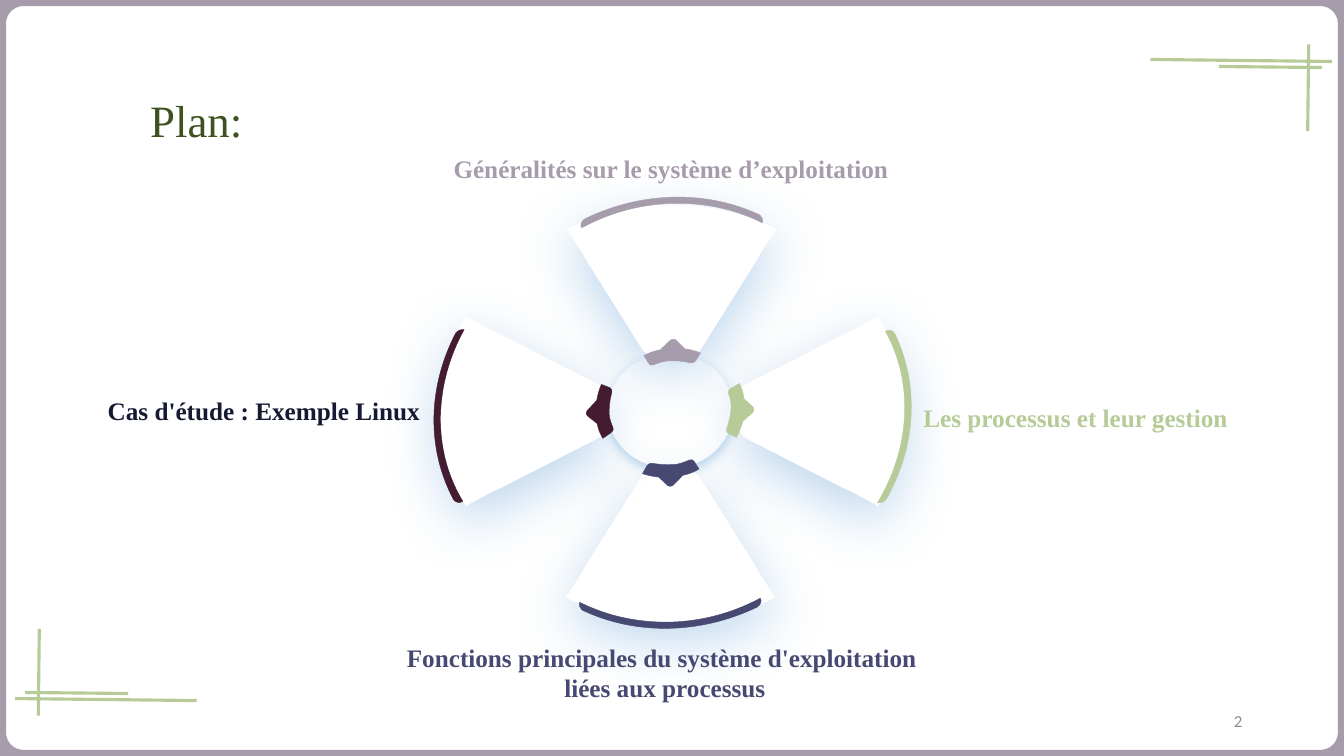
import pptx
import pptx.util
import pptx.dml.color
import pptx.enum.shapes
import pptx.enum.text
import pptx.oxml.ns
from lxml import etree

RGB = pptx.dml.color.RGBColor
SHAPE = pptx.enum.shapes.MSO_SHAPE
ALIGN = pptx.enum.text.PP_ALIGN
ANCHOR = pptx.enum.text.MSO_ANCHOR
qn = pptx.oxml.ns.qn

PX = 9144  # EMU per px, 100 px to the inch
SERIF = "Times New Roman"
WHITE = RGB(0xFF, 0xFF, 0xFF)
MAUVE = RGB(0xA7, 0x9C, 0xAC)
GREEN = RGB(0xB7, 0xCB, 0x98)
BLUE = RGB(0x47, 0x49, 0x72)
PLUM = RGB(0x43, 0x1C, 0x31)
NAVY = RGB(0x15, 0x19, 0x32)
OLIVE = RGB(0x3E, 0x52, 0x20)
GREY = RGB(0x8C, 0x8C, 0x8C)
GLOW = RGB(0x5B, 0x9B, 0xD5)

# Outlines: width, height, start, then segments.
# A segment of two numbers is a straight line, one of six is a curve.
HUB = (126, 113, (126, 56), [
    (126, 66, 123, 75, 118, 83), (118, 84, 117, 85, 116, 86),
    (106, 102, 87, 113, 65, 113), (64, 113, 64, 113, 63, 113),
    (62, 113, 62, 113, 61, 113), (39, 113, 20, 102, 10, 86),
    (9, 85, 8, 84, 8, 83), (3, 75, 0, 66, 0, 56),
    (0, 47, 3, 38, 8, 30), (8, 29, 9, 28, 10, 26),
    (20, 11, 39, 0, 61, 0), (62, 0, 62, 0, 63, 0),
    (64, 0, 64, 0, 65, 0), (87, 0, 106, 11, 116, 26),
    (117, 27, 118, 29, 118, 30), (123, 38, 126, 47, 126, 56)])
WEDGE = (164, 188, (160, 97), [
    (160, 102, 161, 108, 164, 113), (164, 115, 164, 118, 161, 119),
    (152, 124), (60, 171), (53, 174), (27, 188),
    (10, 160, 0, 128, 0, 94), (0, 60, 10, 28, 27, 0),
    (53, 14), (60, 17), (152, 64), (161, 69),
    (163, 70, 164, 73, 164, 75), (161, 80, 160, 86, 160, 92),
    (160, 92, 160, 93, 160, 94), (160, 95, 160, 96, 160, 97)])
ARC = (1620, 890, (1596, 885), [
    (1266, 405, 675, 68, 4, 63), (0, 27, 38, 2, 74, 0),
    (717, 34, 1277, 343, 1612, 805), (1620, 837, 1620, 868, 1596, 885)])
NOTCH = (500, 310, (500, 259), [
    (419, 303), (400, 310, 378, 310, 365, 296),
    (327, 262, 280, 224, 236, 199), (219, 189, 210, 184, 193, 174),
    (150, 149, 87, 137, 34, 129), (12, 128, 0, 110, 1, 87),
    (0, 2), (59, 5, 112, 13, 169, 34), (306, 0),
    (320, 0, 346, 8, 349, 22), (383, 145),
    (430, 183, 468, 217, 500, 259)])


def trace(outline, place, turn, fill, edge=None, blur=0, drop=0):
    """Draw an outline stretched to its place, with a soft shadow if blurred."""
    wide, high, start, segs = outline
    pen = shapes.build_freeform(0, 0, scale=PX)
    pen.add_line_segments([(wide, high)])
    shape = pen.convert_to_shape()
    shape.left, shape.top, shape.width, shape.height = (v * PX for v in place)
    shape.rotation = turn
    route = shape._element.spPr.find(".//" + qn("a:path"))
    for child in list(route):
        route.remove(child)
    route.set("w", str(wide))
    route.set("h", str(high))
    for seg in [start] + segs:
        kind = "cubicBezTo" if len(seg) == 6 else "lnTo"
        if seg is start:
            kind = "moveTo"
        step = etree.SubElement(route, qn("a:" + kind))
        for x, y in zip(seg[::2], seg[1::2]):
            etree.SubElement(step, qn("a:pt"), x=str(x), y=str(y))
    etree.SubElement(route, qn("a:close"))
    shape.shadow.inherit = False
    shape.fill.solid()
    shape.fill.fore_color.rgb = fill
    if edge is None:
        shape.line.fill.background()
    else:
        shape.line.color.rgb = edge
        shape.line.width = pptx.util.Pt(0.27)
    if blur:
        effects = shape._element.spPr.find(qn("a:effectLst"))
        shade = etree.SubElement(
            effects, qn("a:outerShdw"), blurRad=str(blur * 12700),
            dist=str(drop * 12700), dir="5400000", algn="t", rotWithShape="0")
        tint = etree.SubElement(shade, qn("a:srgbClr"), val=str(GLOW))
        etree.SubElement(tint, qn("a:alpha"), val="40000")


def write(box, lines, size, color, font=SERIF, bold=False, align=ALIGN.LEFT):
    """Fill a text box, one paragraph a line."""
    frame = box.text_frame
    frame.word_wrap = False
    frame.auto_size = pptx.enum.text.MSO_AUTO_SIZE.NONE
    frame.vertical_anchor = ANCHOR.TOP
    for i, line in enumerate(lines):
        para = frame.add_paragraph() if i else frame.paragraphs[0]
        para.alignment = align
        run = para.add_run()
        run.text = line
        run.font.name = font
        run.font.size = pptx.util.Pt(size)
        run.font.bold = bold
        run.font.color.rgb = color


deck = pptx.Presentation()
deck.slide_width, deck.slide_height = 1333 * PX, 750 * PX
slide = deck.slides.add_slide(deck.slide_layouts[5])
shapes = slide.shapes

# Title
title = shapes.title
title.left, title.top, title.width, title.height = (
    v * PX for v in (139, 87, 112, 64))
write(title, ["Plan:"], 32, OLIVE)

# Crossed lines: top right, then the same turned half round at bottom left
strokes = [(1141, 59, 1321, 61), (1298, 44, 1297, 130), (1209, 66, 1311, 67)]
turned = [(1336 - a, 754 - b, 1336 - c, 754 - d) for a, b, c, d in strokes]
for ends in strokes + turned:
    line = shapes.add_connector(
        pptx.enum.shapes.MSO_CONNECTOR.STRAIGHT, *(v * PX for v in ends))
    line.line.color.rgb = GREEN
    line.line.width = pptx.util.Pt(2.25)
    etree.SubElement(line._element.spPr, qn("a:effectLst"))

# Hub
trace(HUB, (602, 351, 126, 113), 0, WHITE, blur=8, drop=3)

# Frame with filled corners
corners = [(x, y, 12, 10)
           for x, y in [(-5, 0), (1324, -1), (1326, 740), (0, 742)]]
for place in [(0, 0, 1333, 750)] + corners:
    kind = SHAPE.RECTANGLE if place in corners else SHAPE.ROUNDED_RECTANGLE
    block = shapes.add_shape(kind, *(v * PX for v in place))
    block.shadow.inherit = False
    block.line.color.rgb = MAUVE
    if place in corners:
        block.fill.solid()
        block.fill.fore_color.rgb = MAUVE
        block.line.width = pptx.util.Pt(1)
    else:
        block.adjustments[0] = 0.031
        block.fill.background()
        block.line.width = pptx.util.Pt(8.75)

# Slide number
number = shapes.add_textbox(*(v * PX for v in (942, 695, 300, 40)))
write(number, ["2"], 12, GREY, "Calibri", align=ALIGN.RIGHT)
number.text_frame.word_wrap = True
number.text_frame.vertical_anchor = ANCHOR.MIDDLE

# Blades: place and turn of wedge, arc and notch, then the label
blades = [
    ((592, 173, 148, 208), 90, (585, 176, 162, 89), 331.1,
     (643, 338, 50, 31), 330.2, MAUVE, MAUVE, (440, 147, 456, 40), ALIGN.LEFT,
     ["Généralités sur le système d’exploitation"]),
    ((734, 314, 164, 188), 180, (804, 364, 147, 98), 60.6,
     (707, 391, 45, 35), 60.5, GREEN, GREEN, (906, 394, 325, 40), ALIGN.LEFT,
     ["Les processus et leur gestion"]),
    ((591, 439, 148, 208), 270, (584, 554, 162, 89), 151.4,
     (639, 450, 50, 31), 148.3, BLUE, BLUE, (391, 632, 537, 71), ALIGN.CENTER,
     ["Fonctions principales du système d'exploitation ",
      "liées aux processus"]),
    ((435, 314, 164, 188), 0, (383, 364, 147, 98), 238.4,
     (577, 389, 45, 35), 235.7, PLUM, NAVY, (97, 387, 333, 40), ALIGN.LEFT,
     ["Cas d'étude : Exemple Linux"]),
]
for (wedge, spin, arc, tilt, notch, lean,
     color, ink, place, align, lines) in blades:
    trace(WEDGE, wedge, spin, WHITE, blur=41, drop=12)
    trace(ARC, arc, tilt, color, color)
    trace(NOTCH, notch, lean, color, color)
    label = shapes.add_textbox(*(v * PX for v in place))
    write(label, lines, 18, ink, bold=True, align=align)

deck.save("out.pptx")
